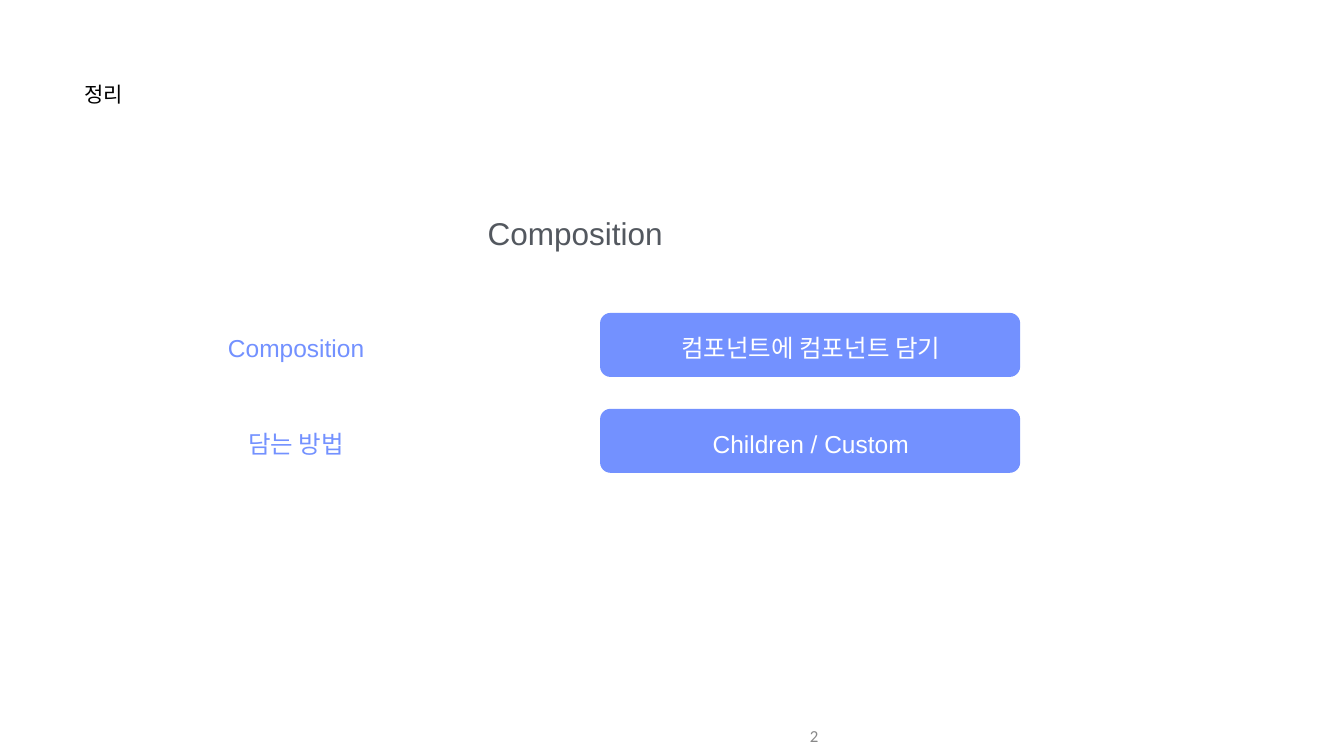
from pptx import Presentation
from pptx.dml.color import RGBColor
from pptx.enum.shapes import MSO_SHAPE
from pptx.enum.text import MSO_ANCHOR, MSO_AUTO_SIZE, PP_ALIGN
from pptx.util import Pt

ROUNDED = MSO_SHAPE.ROUNDED_RECTANGLE
TOP, MIDDLE = MSO_ANCHOR.TOP, MSO_ANCHOR.MIDDLE
LEFT, CENTER, RIGHT = PP_ALIGN.LEFT, PP_ALIGN.CENTER, PP_ALIGN.RIGHT
NO_AUTOFIT = MSO_AUTO_SIZE.NONE
TITLE_ONLY = 5

BLUE = "7391FF"
WHITE = "FFFFFF"
ROWS = [
    ("Composition", "컴포넌트에 컴포넌트 담기"),
    ("담는 방법", "Children / Custom"),
]
FIRST_ROW_TOP, ROW_PITCH = 447, 137
PILL_HEIGHT, LABEL_HEIGHT, LABEL_OFFSET = 91.5, 45, 27.5


def color(value):
    return RGBColor.from_string(value)


class SlideBuilder:
    """Holds the shared text style and the slide being filled."""

    font = "Arial"
    inset = 0.75

    def __init__(self, page):
        self.page = page

    def fill_text(self, box, text, size, ink, align, anchor, font=None, inset=None):
        frame = box.text_frame
        frame.text = text
        frame.word_wrap = True
        frame.auto_size = NO_AUTOFIT
        frame.vertical_anchor = anchor
        margin = Pt(self.inset if inset is None else inset)
        frame.margin_left = frame.margin_right = margin
        frame.margin_top = frame.margin_bottom = margin
        para = frame.paragraphs[0]
        para.alignment = align
        for span in para.runs:
            span.font.name = font or self.font
            span.font.size = Pt(size)
            span.font.color.rgb = color(ink)

    def title(self, text, left, top, width, height):
        box = self.page.shapes.title
        box.left, box.top = Pt(left), Pt(top)
        box.width, box.height = Pt(width), Pt(height)
        self.fill_text(box, text, 30, "000000", LEFT, TOP)

    def text(self, text, left, top, width, height, size=35, ink=BLUE,
             align=CENTER, anchor=MIDDLE, font=None, inset=None):
        box = self.page.shapes.add_textbox(Pt(left), Pt(top), Pt(width), Pt(height))
        self.fill_text(box, text, size, ink, align, anchor, font, inset)

    def pill(self, left, top, width, height):
        shape = self.page.shapes.add_shape(
            ROUNDED, Pt(left), Pt(top), Pt(width), Pt(height))
        shape.adjustments[0] = 0.164
        shape.shadow.inherit = False
        shape.fill.solid()
        shape.fill.fore_color.rgb = color(BLUE)
        shape.line.fill.background()


def main():
    deck = Presentation()
    deck.slide_width, deck.slide_height = Pt(1919.5), Pt(1080)
    builder = SlideBuilder(deck.slides.add_slide(deck.slide_layouts[TITLE_ONLY]))

    builder.title("정리", 120, 115, 350, 85)
    builder.text("Composition", 190, 305, 1263, 57, size=45, ink="53585F", anchor=TOP)
    builder.text("2", 744, 1023, 432, 57, size=24, ink="888888",
                 align=RIGHT, font="Calibri", inset=7)

    for index, (label, value) in enumerate(ROWS):
        row_top = FIRST_ROW_TOP + index * ROW_PITCH
        label_top = row_top + LABEL_OFFSET
        builder.pill(857, row_top, 600, PILL_HEIGHT)
        builder.text(label, 198, label_top, 450, LABEL_HEIGHT)
        builder.text(value, 858, label_top, 600, LABEL_HEIGHT, ink=WHITE)

    deck.save("out.pptx")


if __name__ == "__main__":
    main()
